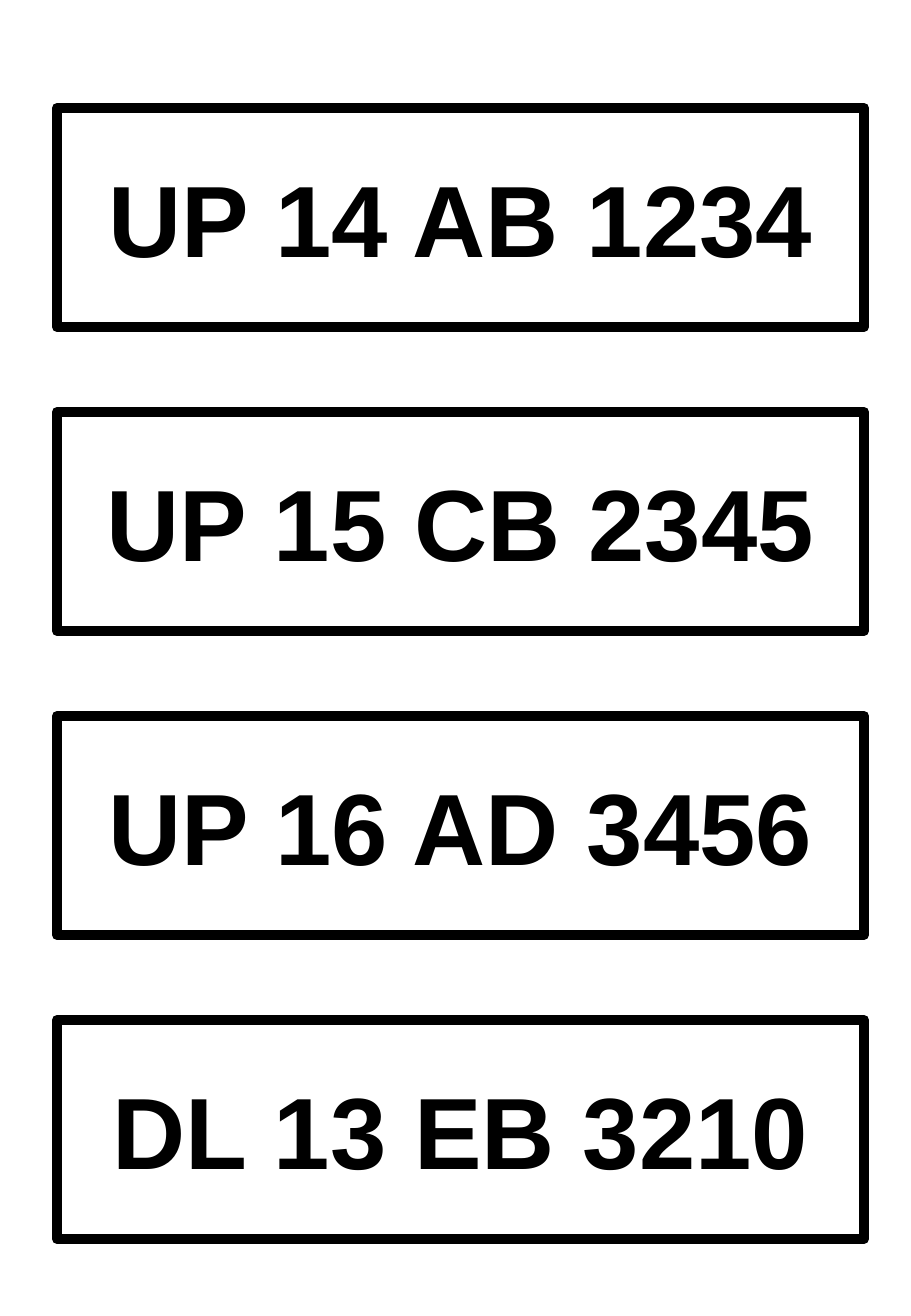
import dataclasses

import pptx
import pptx.dml.color
import pptx.enum.shapes
import pptx.enum.text
import pptx.slide
import pptx.util

SCALE = 914400 / 121.5  # EMU in one pixel


@dataclasses.dataclass(frozen=True)
class Theme:
    ink: pptx.dml.color.RGBColor = pptx.dml.color.RGBColor(0, 0, 0)
    font: str = "Arial"
    size: pptx.util.Pt = pptx.util.Pt(60)
    edge: pptx.util.Pt = pptx.util.Pt(6)


@dataclasses.dataclass(frozen=True)
class Plate:
    text: str
    top: int
    left: int = 57
    width: int = 807
    height: int = 219


THEME = Theme()
FIRST, STEP = 108, 304
CODES = ("UP 14 AB 1234", "UP 15 CB 2345", "UP 16 AD 3456", "DL 13 EB 3210")


def emu(px: int) -> pptx.util.Emu:
    return pptx.util.Emu(round(px * SCALE))


def draw_plate(slide: pptx.slide.Slide, plate: Plate) -> None:
    # Frame
    shape = slide.shapes.add_shape(
        pptx.enum.shapes.MSO_SHAPE.RECTANGLE,
        emu(plate.left), emu(plate.top), emu(plate.width), emu(plate.height))
    shape.shadow.inherit = False
    shape.fill.background()
    shape.line.color.rgb = THEME.ink
    shape.line.width = THEME.edge

    # Number
    frame = shape.text_frame
    frame.text = plate.text
    frame.vertical_anchor = pptx.enum.text.MSO_ANCHOR.MIDDLE
    line = frame.paragraphs[0]
    line.alignment = pptx.enum.text.PP_ALIGN.CENTER
    font = line.runs[0].font
    font.name = THEME.font
    font.size = THEME.size
    font.bold = True
    font.color.rgb = THEME.ink


# Slide
deck = pptx.Presentation()
deck.slide_width, deck.slide_height = emu(911), emu(1316)
slide = deck.slides.add_slide(deck.slide_layouts[6])

# Plates, evenly stacked
for row, code in enumerate(CODES):
    draw_plate(slide, Plate(code, FIRST + row * STEP))

deck.save("out.pptx")
